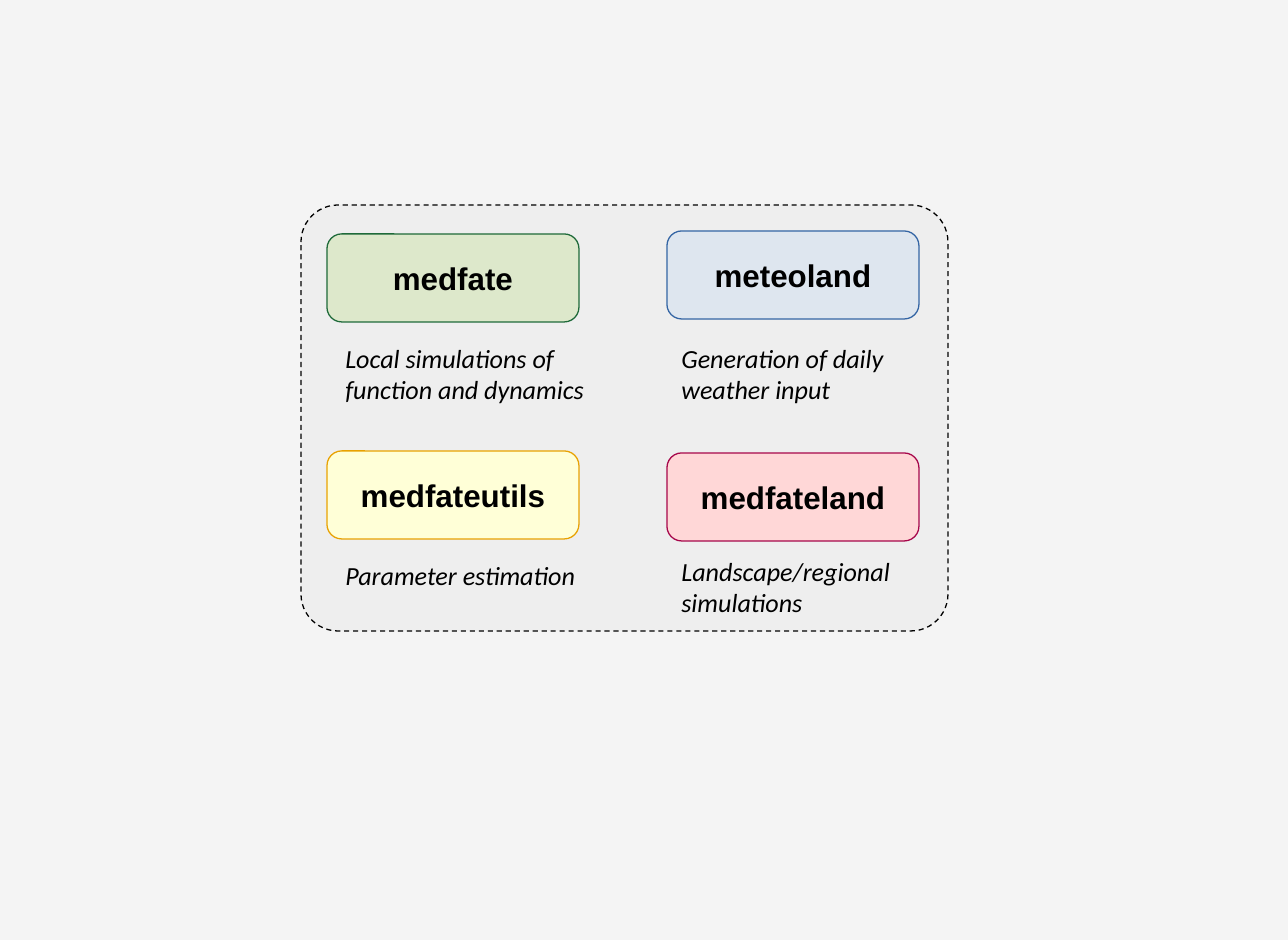
from pptx import Presentation
from pptx.dml.color import RGBColor
from pptx.enum.dml import MSO_LINE_DASH_STYLE as Dash
from pptx.enum.shapes import MSO_SHAPE as Shape
from pptx.enum.text import MSO_ANCHOR as Anchor, PP_ALIGN as Align
from pptx.util import Pt

SCALE = 914400 / 125.3


def px(n):
    return round(n * SCALE)


def color(code):
    return RGBColor.from_string(code)


class Board:
    head = dict(name="Arial", size=18, bold=True)
    body = dict(name="Calibri", size=15, italic=True)
    ink = "000000"

    def __init__(self, deck, back):
        self.slide = deck.slides.add_slide(deck.slide_layouts[6])
        fill = self.slide.background.fill
        fill.solid()
        fill.fore_color.rgb = color(back)

    def add_text(self, par, text, style):
        run = par.add_run()
        run.text = text
        font = run.font
        font.name = style["name"]
        font.size = Pt(style["size"])
        font.bold = style.get("bold", False)
        font.italic = style.get("italic", False)
        font.color.rgb = color(self.ink)

    def panel(self, area, fill, line, round_by):
        shape = self.slide.shapes.add_shape(
            Shape.ROUNDED_RECTANGLE, *map(px, area))
        shape.adjustments[0] = round_by
        shape.shadow.inherit = False
        shape.fill.solid()
        shape.fill.fore_color.rgb = color(fill)
        shape.line.color.rgb = color(line)
        shape.line.width = 0
        return shape

    def box(self, area, text, fill, line):
        frame = self.panel(area, fill, line, 0.167).text_frame
        frame.word_wrap = False
        frame.vertical_anchor = Anchor.MIDDLE
        par = frame.paragraphs[0]
        par.alignment = Align.CENTER
        self.add_text(par, text, self.head)

    def note(self, area, text):
        frame = self.slide.shapes.add_textbox(*map(px, area)).text_frame
        frame.word_wrap = True
        self.add_text(frame.paragraphs[0], text, self.body)


def main():
    deck = Presentation()
    deck.slide_width, deck.slide_height = px(1288), px(940)
    board = Board(deck, "F4F4F4")

    # Dashed frame around the packages
    frame = board.panel((301, 205, 647, 426), "EEEEEE", "000000", 0.087)
    frame.line.dash_style = Dash.DASH

    # Notes: left, top, width, height, text
    notes = [
        (333, 336, 311, 64, "Local simulations of function and dynamics"),
        (669, 336, 263, 64, "Generation of daily weather input"),
        (669, 549, 263, 39, "Landscape/regional simulations"),
        (333, 553, 263, 39, "Parameter estimation"),
    ]
    for *area, text in notes:
        board.note(area, text)

    # Packages: left, top, name, fill, line
    packs = [
        (327, 234, "medfate", "DDE8CB", "1E6A39"),
        (327, 451, "medfateutils", "FFFFD7", "E8A202"),
        (667, 231, "meteoland", "DEE6EF", "3465A4"),
        (667, 453, "medfateland", "FFD7D7", "A7074B"),
    ]
    for left, top, name, fill, line in packs:
        board.box((left, top, 252, 88), name, fill, line)

    deck.save("out.pptx")


if __name__ == "__main__":
    main()
